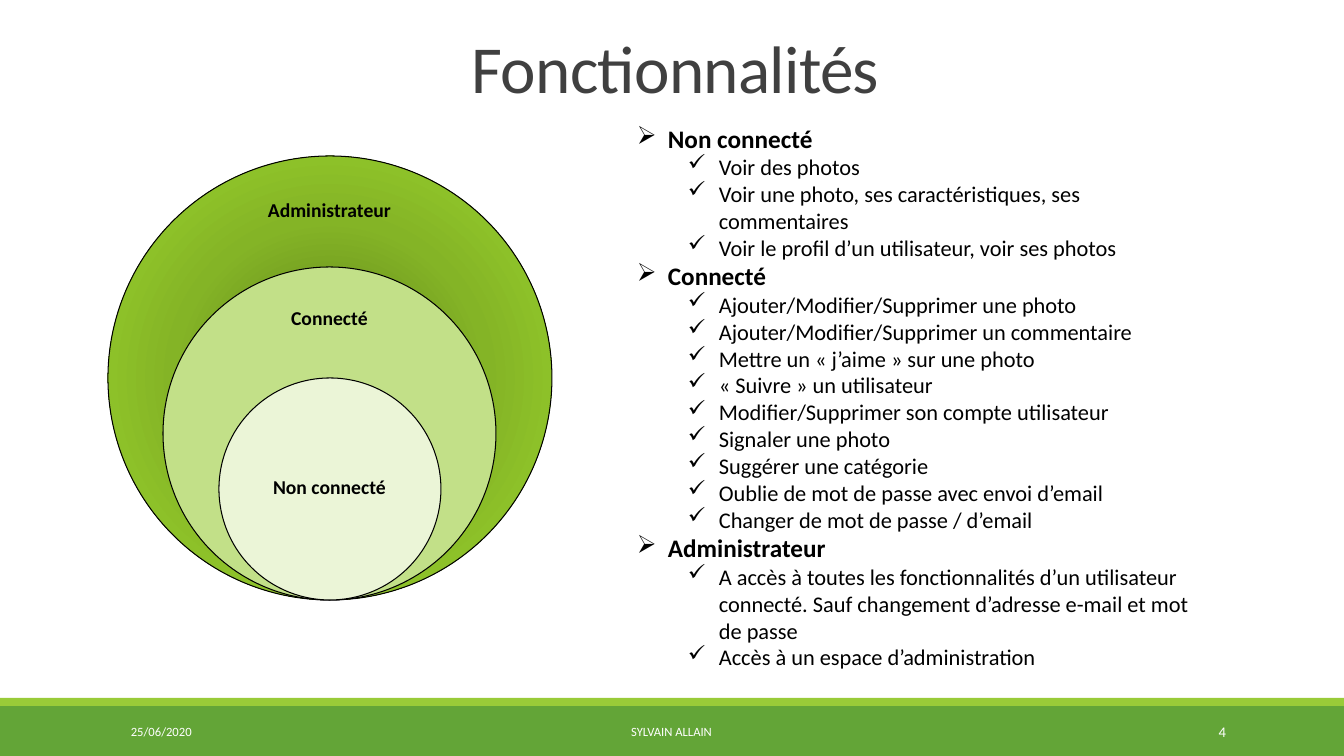
from lxml.etree import SubElement
from pptx import Presentation
from pptx.dml.color import RGBColor
from pptx.enum.shapes import MSO_SHAPE
from pptx.enum.text import MSO_ANCHOR, PP_ALIGN
from pptx.oxml import parse_xml
from pptx.oxml.ns import qn
from pptx.util import Pt

SCALE = 914400 / 100.8
FONT = "Calibri"
COLORS = {
    "bar": "63A537", "strip": "99CB38", "title": "404040",
    "text": "000000", "white": "FFFFFF",
    "connected": "C2E088", "visitor": "EBF5D7",
    "shade": "5D7F1B", "middle": "84B426", "bright": "9DD62D",
}
FEATURES = [
    ("Non connecté", [
        "Voir des photos",
        "Voir une photo, ses caractéristiques, ses commentaires",
        "Voir le profil d’un utilisateur, voir ses photos",
    ]),
    ("Connecté", [
        "Ajouter/Modifier/Supprimer une photo",
        "Ajouter/Modifier/Supprimer un commentaire",
        "Mettre un « j’aime » sur une photo",
        "« Suivre » un utilisateur",
        "Modifier/Supprimer son compte utilisateur",
        "Signaler une photo",
        "Suggérer une catégorie",
        "Oublie de mot de passe avec envoi d’email",
        "Changer de mot de passe / d’email",
    ]),
    ("Administrateur", [
        "A accès à toutes les fonctionnalités d’un utilisateur connecté. "
        "Sauf changement d’adresse e-mail et mot de passe",
        "Accès à un espace d’administration",
    ]),
]


def px(length):
    """Turn pixels into EMU."""
    return round(length * SCALE)


def color(name):
    """Look up a named colour."""
    return RGBColor.from_string(COLORS[name])


def add_filled(page, kind, box, fill):
    """Add a flat shape without outline."""
    shape = page.shapes.add_shape(kind, *map(px, box))
    shape.shadow.inherit = False
    shape.fill.solid()
    shape.fill.fore_color.rgb = color(fill)
    shape.line.fill.background()
    return shape


def add_frame(page, box, anchor=MSO_ANCHOR.MIDDLE):
    """Add a wrapping text box and return its frame."""
    frame = page.shapes.add_textbox(*map(px, box)).text_frame
    frame.word_wrap = True
    frame.vertical_anchor = anchor
    return frame


def write(para, text, size, fill="text", bold=False, align=PP_ALIGN.LEFT):
    """Fill a paragraph with uniformly styled text."""
    para.text = text
    para.alignment = align
    para.font.name = FONT
    para.font.size = Pt(size)
    para.font.bold = bold
    para.font.color.rgb = color(fill)


def add_bullet(para, symbol, margin, hang):
    """Give a paragraph a hanging bullet."""
    properties = para._p.get_or_add_pPr()
    properties.set("marL", str(px(margin)))
    properties.set("indent", str(-px(hang)))
    bullet = parse_xml(
        '<a:buChar xmlns:a="http://schemas.openxmlformats.org/drawingml/2006/main" '
        f'char="{symbol}"/>')
    defaults = properties.find(qn("a:defRPr"))
    if defaults is None:
        properties.append(bullet)
    else:
        defaults.addprevious(bullet)


def shade_radially(shape, names):
    """Replace a fill by a circular gradient from the centre outwards."""
    gradient = parse_xml(
        '<a:gradFill xmlns:a="http://schemas.openxmlformats.org/drawingml/2006/main" '
        'rotWithShape="1"/>')
    stops = SubElement(gradient, qn("a:gsLst"))
    for index, name in enumerate(names):
        stop = SubElement(stops, qn("a:gs"), pos=str(index * 50000))
        SubElement(stop, qn("a:srgbClr"), val=COLORS[name])
    circle = SubElement(gradient, qn("a:path"), path="circle")
    SubElement(circle, qn("a:fillToRect"), l="50000", t="50000", r="50000", b="50000")
    solid = shape._element.spPr.find(qn("a:solidFill"))
    solid.getparent().replace(solid, gradient)


def draw_title(page, box):
    """Write the slide title."""
    para = add_frame(page, box, MSO_ANCHOR.BOTTOM).paragraphs[0]
    write(para, "Fonctionnalités", 48, "title", align=PP_ALIGN.CENTER)
    para.line_spacing = 0.85
    para.runs[0].font._element.set("spc", "-50")


def draw_roles(page, box):
    """Draw the nested role circles, all resting on the bottom of the box."""
    left, top, width, height = box
    roles = [
        ("Administrateur", 4, "middle", 22, 67),
        ("Connecté", 3, "connected", 21, 62),
        ("Non connecté", 2, "visitor", 55, 111),
    ]
    label_width = 157
    for role, quarters, fill, offset, label_height in roles:
        size = width * quarters // 4
        circle_top = top + height - size
        circle = add_filled(page, MSO_SHAPE.OVAL,
                            (left + (width - size) // 2, circle_top, size, size), fill)
        circle.line.color.rgb = color("text")
        circle.line.width = Pt(0.75)
        if quarters == 4:
            shade_radially(circle, ["shade", "middle", "bright"])
        frame = add_frame(page, (left + (width - label_width) // 2,
                                 circle_top + offset, label_width, label_height))
        frame.margin_left = frame.margin_right = px(11)
        frame.margin_top = frame.margin_bottom = px(11)
        para = frame.paragraphs[0]
        write(para, role, 14, bold=True, align=PP_ALIGN.CENTER)
        para.line_spacing = 0.9


def draw_features(page, box):
    """List the features of each role."""
    frame = add_frame(page, box, MSO_ANCHOR.TOP)
    lines = []
    for role, features in FEATURES:
        lines.append((role, 18, True, "➢", 31))
        lines += [(feature, 16, False, "✓", 82) for feature in features]
    for index, (text, size, bold, symbol, margin) in enumerate(lines):
        para = frame.add_paragraph() if index else frame.paragraphs[0]
        write(para, text, size, bold=bold)
        add_bullet(para, symbol, margin, 31)


def draw_footer(page, box):
    """Draw the footer bar with date, author and page number."""
    left, top, width, height = box
    strip = 8
    add_filled(page, MSO_SHAPE.RECTANGLE,
               (left, top + strip, width, height - strip), "bar")
    add_filled(page, MSO_SHAPE.RECTANGLE, (left, top, width, strip), "strip")
    entries = [
        ("25/06/2020", 121, 272, 9, PP_ALIGN.LEFT),
        ("SYLVAIN ALLAIN", 406, 531, 9, PP_ALIGN.CENTER),
        ("4", 1092, 144, 10.5, PP_ALIGN.RIGHT),
    ]
    for text, offset, entry_width, size, align in entries:
        frame = add_frame(page, (left + offset, top + 14, entry_width, 40))
        write(frame.paragraphs[0], text, size, "white", align=align)


def main():
    """Build the slide and save it."""
    deck = Presentation()
    deck.slide_width, deck.slide_height = px(1344), px(756)
    page = deck.slides.add_slide(deck.slide_layouts[6])
    draw_footer(page, (0, 698, 1344, 58))
    draw_title(page, (121, 26, 1109, 86))
    draw_roles(page, (108, 156, 444, 444))
    draw_features(page, (627, 118, 587, 577))
    deck.save("out.pptx")


if __name__ == "__main__":
    main()
